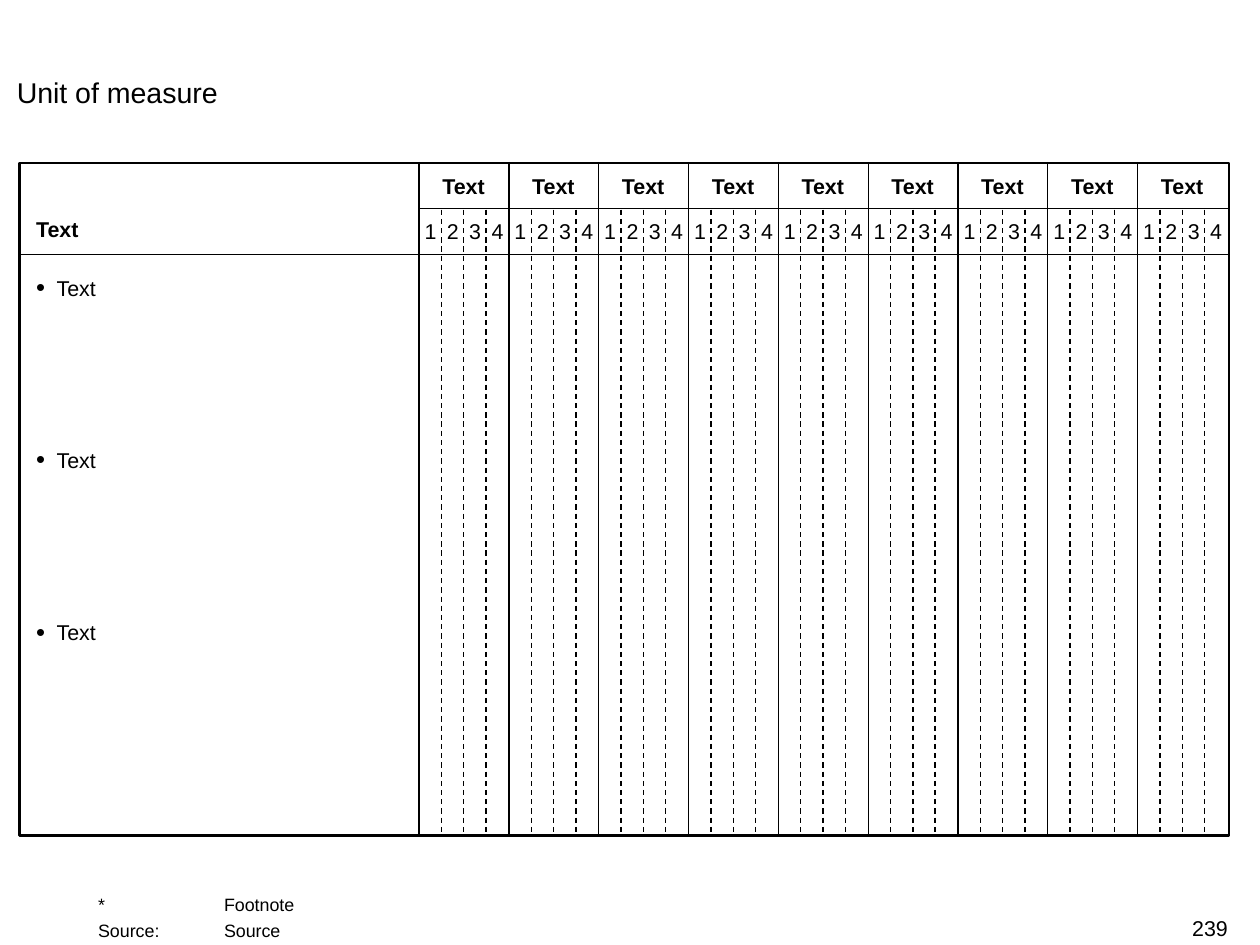
"""Build a blank planning grid: nine headed columns of four parts each."""
from lxml import etree
from pptx import Presentation
from pptx.dml.color import RGBColor
from pptx.enum.dml import MSO_LINE
from pptx.enum.shapes import MSO_CONNECTOR, MSO_SHAPE
from pptx.enum.text import MSO_ANCHOR, MSO_AUTO_SIZE, PP_ALIGN
from pptx.oxml.ns import qn
from pptx.util import Pt

DASH = MSO_LINE.DASH
STRAIGHT = MSO_CONNECTOR.STRAIGHT
RECT = MSO_SHAPE.RECTANGLE
TOP, BOTTOM = MSO_ANCHOR.TOP, MSO_ANCHOR.BOTTOM
GROW = MSO_AUTO_SIZE.SHAPE_TO_FIT_TEXT
LEFT, CENTER, RIGHT = PP_ALIGN.LEFT, PP_ALIGN.CENTER, PP_ALIGN.RIGHT

BLACK = "000000"
FRAME = (10.8, 91.4, 677.5, 376.6)
EDGE = FRAME[0] + FRAME[2]
START, PITCH, COLS = 234.7, 50.3, 9
PART, PARTS = 12.5, 4
ROW = 14.4


def paint(target, color):
    """Give a font or line colour from a hex string."""
    target.rgb = RGBColor.from_string(color)


def apply(target, values):
    """Set each named value on the target."""
    for name, value in values.items():
        setattr(target, name, value)


def indent(para, margin, hang):
    """Hang the first line to the left of the margin."""
    props = para._p.get_or_add_pPr()
    props.set("marL", str(Pt(margin)))
    props.set("indent", str(-Pt(hang)))
    return props


def bullet(para):
    """Put a large round bullet on a paragraph."""
    para.level = 1
    props = indent(para, 11.5, 11.5)
    etree.SubElement(props, qn("a:buSzPct")).set("val", "120000")
    etree.SubElement(props, qn("a:buFont")).set("typeface", "Arial")
    etree.SubElement(props, qn("a:buChar")).set("char", "•")


def label(slide, box, lines, size=12, bold=False, align=LEFT, anchor=TOP):
    """Add a text box and return its paragraphs."""
    frame = slide.shapes.add_textbox(*map(Pt, box)).text_frame
    apply(frame, {"margin_left": 0, "margin_top": 0, "margin_right": 0,
                  "margin_bottom": 0, "word_wrap": True,
                  "auto_size": GROW, "vertical_anchor": anchor})
    frame.text = "\n".join(lines)
    for para in frame.paragraphs:
        para.alignment = align
        for run in para.runs:
            apply(run.font, {"name": "Arial", "size": Pt(size), "bold": bold})
            paint(run.font.color, BLACK)
    return frame.paragraphs


def rule(slide, x1, y1, x2, y2, dash=None):
    """Add a thin line, solid or dashed."""
    line = slide.shapes.add_connector(STRAIGHT, *map(Pt, (x1, y1, x2, y2)))
    apply(line.line, {"width": Pt(0.75), "dash_style": dash})
    paint(line.line.color, BLACK)
    etree.SubElement(line._element.spPr, qn("a:effectLst"))


def border(slide):
    """Add the open frame of the grid."""
    shape = slide.shapes.add_shape(RECT, *map(Pt, FRAME))
    shape.shadow.inherit = False
    shape.fill.background()
    shape.line.width = Pt(1.5)
    paint(shape.line.color, BLACK)


def column(slide, left):
    """Add one headed column with its numbered parts."""
    rule(slide, left, 90.7, left, 467.3)
    label(slide, (left + 2.2, 97.2, 45.4, ROW), ["Text"],
          bold=True, align=CENTER, anchor=BOTTOM)
    for part in range(PARTS):
        x = left + part * PART
        if part:
            rule(slide, x, 117.4, x, 465.8, DASH)
        label(slide, (x + 1.4, 122.4, 10, ROW), [str(part + 1)],
              align=CENTER, anchor=BOTTOM)


def notes(slide):
    """Add the footnote and the source line."""
    lines = ["*\tFootnote", "Source:\tSource"]
    paras = label(slide, (10.1, 500.4, 643, 26.6), lines, 10, anchor=BOTTOM)
    for para in paras:
        indent(para, 115.4, 70.5)
    paras[1].space_before = Pt(2.3)


def main():
    """Build the slide and save it."""
    deck = Presentation()
    apply(deck, {"slide_width": Pt(705.6), "slide_height": Pt(529.2)})
    slide = deck.slides.add_slide(deck.slide_layouts[6])

    label(slide, (9.4, 41.8, 679, 19.4), ["Unit of measure"], 16)
    border(slide)
    rule(slide, 10.1, 142.6, EDGE, 142.6)
    rule(slide, START, 116.6, EDGE, 116.6)
    label(slide, (20.2, 121, 193.7, ROW), ["Text"], bold=True, anchor=BOTTOM)
    for item in range(3):
        top = 154.1 + item * 96.4
        bullet(label(slide, (20.2, top, 193.7, ROW), ["Text"])[0])
    for col in range(COLS):
        column(slide, START + col * PITCH)
    notes(slide)
    label(slide, (540.7, 512.6, 146.9, ROW), ["239"], align=RIGHT)
    deck.save("out.pptx")


if __name__ == "__main__":
    main()
